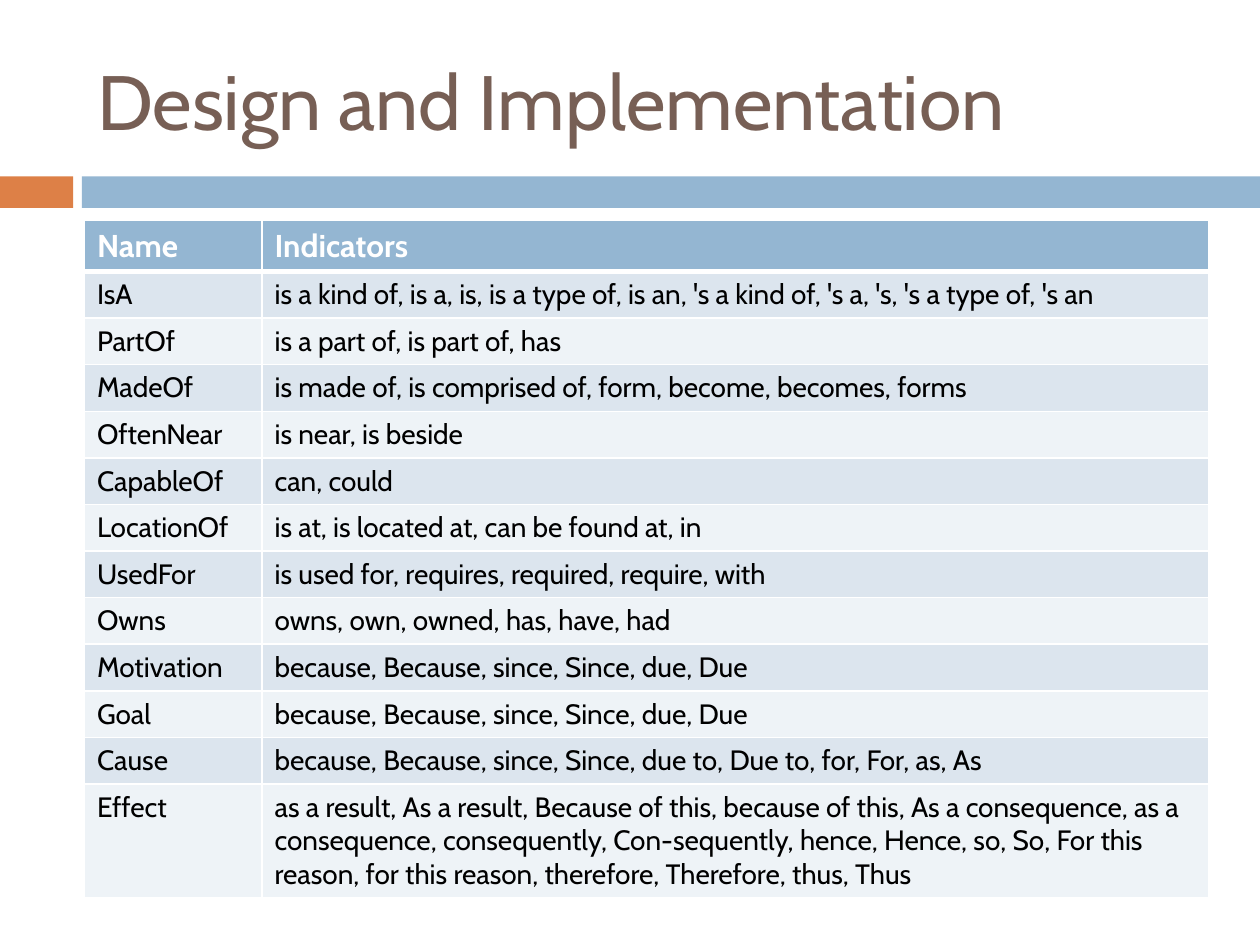
from dataclasses import dataclass

from lxml.etree import SubElement
from pptx import Presentation
from pptx.dml.color import RGBColor
from pptx.enum.shapes import MSO_SHAPE
from pptx.enum.text import MSO_ANCHOR, PP_ALIGN
from pptx.oxml.ns import qn
from pptx.util import Inches, Pt


@dataclass(frozen=True)
class Theme:
    font: str = "Cabin"
    title: str = "775F55"
    accent: str = "DD8047"
    blue: str = "94B6D2"
    bands: tuple[str, str] = ("DCE5EE", "EEF3F7")
    white: str = "FFFFFF"
    text: str = "000000"
    title_size: int = 44
    header_size: int = 18
    body_size: int = 16


@dataclass(frozen=True)
class Bar:
    left: float
    width: float
    color: str


@dataclass(frozen=True)
class Relation:
    name: str
    indicators: str


THEME = Theme()
LEFT, WIDTH = 0.67, 8.92
NAME_WIDTH = 1.41
HEADER_HEIGHT, ROW_HEIGHT, LAST_HEIGHT = 0.4, 0.37, 0.89

BARS = [Bar(0, 0.58, THEME.accent), Bar(0.65, 9.35, THEME.blue)]

HEADER = Relation("Name", "Indicators")
RELATIONS = [
    Relation("IsA", "is a kind of, is a, is, is a type of, is an, 's a kind of, "
                    "'s a, 's, 's a type of, 's an"),
    Relation("PartOf", "is a part of, is part of, has"),
    Relation("MadeOf", "is made of, is comprised of, form, become, becomes, forms"),
    Relation("OftenNear", "is near, is beside"),
    Relation("CapableOf", "can, could"),
    Relation("LocationOf", "is at, is located at, can be found at, in"),
    Relation("UsedFor", "is used for, requires, required, require, with"),
    Relation("Owns", "owns, own, owned, has, have, had"),
    Relation("Motivation", "because, Because, since, Since, due, Due"),
    Relation("Goal", "because, Because, since, Since, due, Due"),
    Relation("Cause", "because, Because, since, Since, due to, Due to, for, For, as, As"),
    Relation("Effect", "as a result, As a result, Because of this, because of this, "
                       "As a consequence, as a consequence, consequently, Con-sequently, "
                       "hence, Hence, so, So, For this reason, for this reason, "
                       "therefore, Therefore, thus, Thus"),
]


def style_font(font, size: int, color: str, bold: bool = False) -> None:
    font.name = THEME.font
    font.size = Pt(size)
    font.bold = bold
    font.color.rgb = RGBColor.from_string(color)


def draw_bar(slide, bar: Bar) -> None:
    sp = slide.shapes.add_shape(MSO_SHAPE.RECTANGLE, Inches(bar.left), Inches(1.4),
                                Inches(bar.width), Inches(0.25))
    sp.shadow.inherit = False
    sp.fill.solid()
    sp.fill.fore_color.rgb = RGBColor.from_string(bar.color)
    sp.line.fill.background()


def draw_title(slide, text: str) -> None:
    sp = slide.shapes.title
    sp.left, sp.top = Inches(LEFT), Inches(0.25)
    sp.width, sp.height = Inches(WIDTH), Inches(1.08)
    tf = sp.text_frame
    tf.text = text
    tf.vertical_anchor = MSO_ANCHOR.MIDDLE
    p = tf.paragraphs[0]
    p.alignment = PP_ALIGN.LEFT
    style_font(p.runs[0].font, THEME.title_size, THEME.title)


def set_borders(cell, top: int, bottom: int) -> None:
    """Draw white cell borders; the side ones are 1 pt wide."""
    tc_pr = cell._tc.get_or_add_tcPr()
    widths = {"lnL": 1, "lnR": 1, "lnT": top, "lnB": bottom}
    for i, (tag, width) in enumerate(widths.items()):
        ln = SubElement(tc_pr, qn(f"a:{tag}"), w=str(Pt(width)))
        fill = SubElement(ln, qn("a:solidFill"))
        SubElement(fill, qn("a:srgbClr"), val=THEME.white)
        tc_pr.insert(i, ln)


def fill_row(table, index: int, relation: Relation) -> None:
    is_header = index == 0
    background = THEME.blue if is_header else THEME.bands[(index - 1) % 2]
    size = THEME.header_size if is_header else THEME.body_size
    color = THEME.white if is_header else THEME.text
    for col, text in enumerate((relation.name, relation.indicators)):
        cell = table.cell(index, col)
        cell.text = text
        cell.fill.solid()
        cell.fill.fore_color.rgb = RGBColor.from_string(background)
        style_font(cell.text_frame.paragraphs[0].runs[0].font, size, color, is_header)
        set_borders(cell, top=3 if index == 1 else 1, bottom=3 if is_header else 1)


def draw_table(slide, relations: list[Relation]) -> None:
    heights = [HEADER_HEIGHT] + [ROW_HEIGHT] * (len(relations) - 1) + [LAST_HEIGHT]
    table = slide.shapes.add_table(len(heights), 2, Inches(LEFT), Inches(1.75),
                                   Inches(WIDTH), Inches(sum(heights))).table
    table.columns[0].width = Inches(NAME_WIDTH)
    table.columns[1].width = Inches(WIDTH - NAME_WIDTH)
    for i, (height, relation) in enumerate(zip(heights, [HEADER, *relations])):
        table.rows[i].height = Inches(height)
        fill_row(table, i, relation)


def main() -> None:
    prs = Presentation()
    prs.slide_width, prs.slide_height = Inches(10), Inches(7.5)
    slide = prs.slides.add_slide(prs.slide_layouts[5])
    for bar in BARS:
        draw_bar(slide, bar)
    draw_title(slide, "Design and Implementation")
    draw_table(slide, RELATIONS)
    prs.save("out.pptx")


if __name__ == "__main__":
    main()
